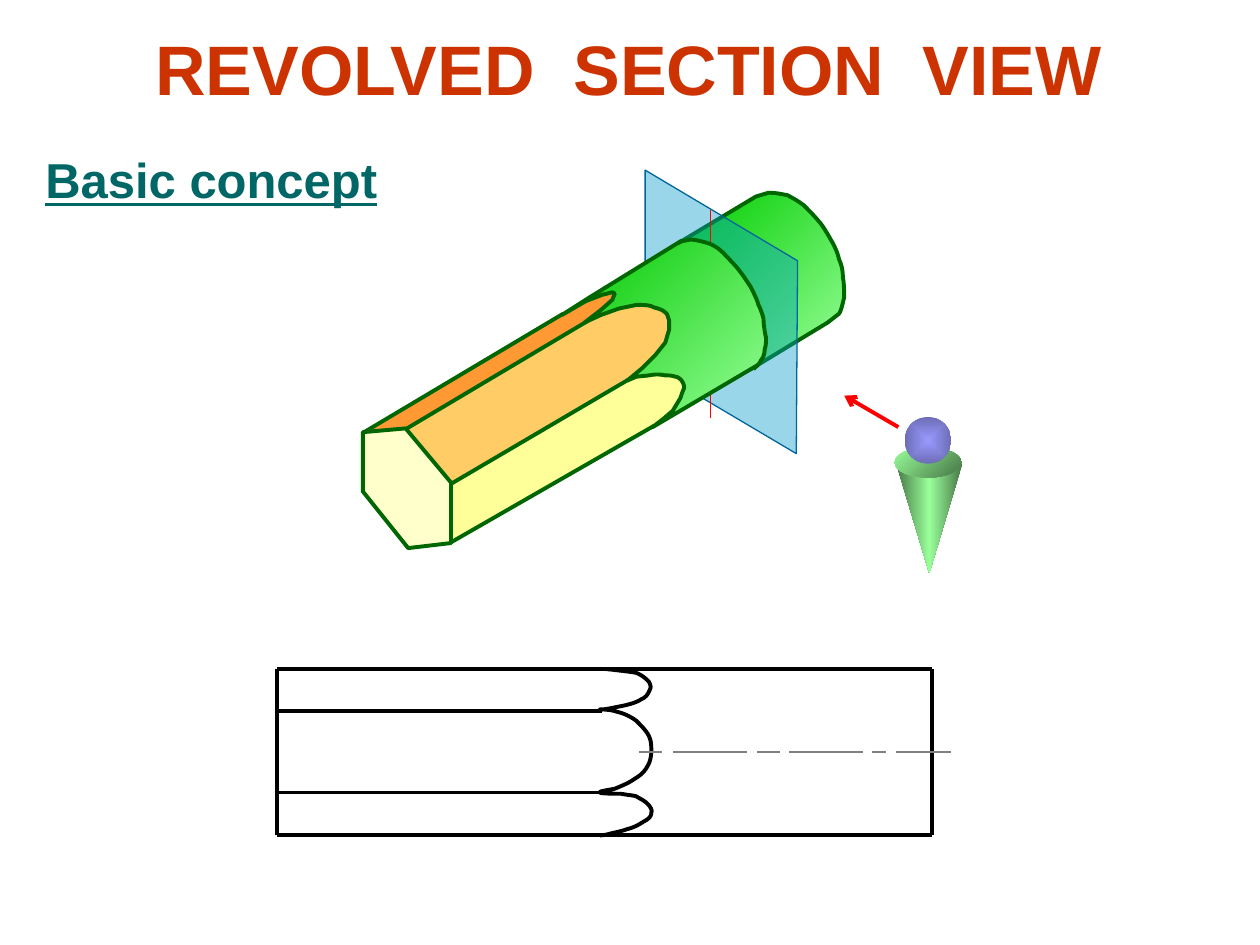
import pptx
import pptx.util
import pptx.dml.color
import pptx.enum.shapes
import pptx.enum.text
import pptx.oxml.ns
import lxml.etree

RGB = pptx.dml.color.RGBColor
SHAPE = pptx.enum.shapes.MSO_SHAPE
ALIGN = pptx.enum.text.PP_ALIGN
ANCHOR = pptx.enum.text.MSO_ANCHOR
qn = pptx.oxml.ns.qn

RUST = RGB(0xCC, 0x33, 0x00)
TEAL = RGB(0x00, 0x66, 0x66)
BLACK = RGB(0x00, 0x00, 0x00)
GRAY = RGB(0x80, 0x80, 0x80)
RED = RGB(0xFF, 0x00, 0x00)
DARK_GREEN = RGB(0x00, 0x66, 0x00)
GREEN = RGB(0x00, 0xCC, 0x00)
BARREL_GREEN = RGB(0x00, 0xC8, 0x00)
LIGHT_GREEN = RGB(0x99, 0xFF, 0x99)
MOSS = RGB(0x47, 0x76, 0x47)
PLANE_BLUE = RGB(0x00, 0x99, 0xCC)
PLANE_EDGE = RGB(0x00, 0x66, 0x99)
LILAC = RGB(0x99, 0x99, 0xFF)
INDIGO = RGB(0x6D, 0x6D, 0xB6)
ORANGE = RGB(0xFF, 0x99, 0x33)
APRICOT = RGB(0xFF, 0xCC, 0x66)
YELLOW = RGB(0xFF, 0xFF, 0x99)
CREAM = RGB(0xFF, 0xFF, 0xCC)

COLUMNS, ROWS = 100, 75
CURVE_STEPS = 6
THICK = 2.25

REAR_END = """M 59.6 29.3 L 65.7 25.6 L 66.6 24.9 C 66.8 24.6 66.9 24 67 23.6
C 67 23.1 67 22.5 66.9 22 C 66.9 21.5 66.8 21 66.6 20.6 C 66.5 20.1 66.3 19.7 66.1 19.3
C 65.8 18.8 65.5 18.2 65.1 17.7 C 64.7 17.2 64.2 16.7 63.8 16.3 C 63.4 16 62.9 15.7 62.5 15.5
C 62 15.4 61.5 15.3 61 15.3 L 60 15.6 L 54 19.2"""
CUT_EDGE = """M 53.8 19.3 C 53.9 19.3 54.1 19.1 54.4 19.1 C 54.7 19 55 19 55.4 19.1
C 55.8 19.2 56.4 19.3 56.8 19.6 C 57.2 19.8 57.6 20.3 58 20.7 C 58.4 21.1 58.7 21.5 59 21.9
C 59.2 22.2 59.4 22.5 59.6 22.8 C 59.8 23.2 60.1 23.8 60.2 24.2 C 60.4 24.6 60.5 24.9 60.6 25.3
C 60.6 25.7 60.7 26.4 60.8 26.8 C 60.8 27.2 60.8 27.4 60.7 27.7 C 60.7 28 60.6 28.4 60.4 28.6
C 60.3 28.9 60 29.1 59.8 29.3"""
BARREL_EDGE = """M 54.1 19.1 L 46.8 23.6 L 44.6 25 L 46.5 23.9 L 47.8 23.4 L 48.6 23.2
L 48.8 23.3 L 48.6 23.8 L 47.7 24.6 L 46.4 25.6 L 47.7 25 L 49.1 24.5
C 49.5 24.4 50.1 24.3 50.5 24.2 C 51 24.2 51.6 24.2 51.9 24.4 C 52.3 24.5 52.6 24.6 52.8 24.8
C 53 24.9 53 25.2 53.1 25.4 C 53.1 25.6 53.1 25.9 53.1 26.2 C 53 26.5 52.9 26.9 52.8 27.2
L 52 28.2 L 51 29.2 L 49.8 30.2 L 50.5 29.9 L 51.5 29.8 C 51.9 29.7 52.4 29.7 52.8 29.8
C 53.1 29.8 53.3 29.8 53.6 29.9 C 53.8 29.9 54 30.1 54.1 30.2 C 54.2 30.4 54.3 30.5 54.3 30.8
C 54.2 31 54.1 31.3 54 31.6 L 53.4 32.6 L 52.7 33.2 L 51.8 33.9 L 60.1 29"""
FLAT_ENDS = """M 48.1 53.1 C 49 53.2 49.9 53.3 50.5 53.4 C 51 53.6 51.3 53.9 51.5 54.1
C 51.6 54.3 51.7 54.5 51.6 54.7 C 51.5 54.9 51.4 55.3 50.9 55.5 C 50.5 55.8 49.6 56 49 56.1
C 48.5 56.2 47.6 56.4 47.6 56.3 C 47.6 56.3 48.5 56.3 49 56.5 C 49.5 56.6 50.1 56.9 50.5 57.2
C 50.9 57.6 51.3 58 51.5 58.4 C 51.7 58.8 51.7 59.2 51.7 59.6 C 51.7 60 51.6 60.5 51.4 60.8
C 51.2 61.2 50.9 61.5 50.4 61.8 C 50 62.1 49.3 62.4 48.8 62.6 C 48.3 62.7 47.5 62.8 47.6 62.9
C 47.7 63 48.9 63 49.3 63 C 49.8 63.1 50.1 63.1 50.5 63.2 C 50.8 63.4 51.1 63.5 51.4 63.8
C 51.6 64 51.8 64.3 51.7 64.5 C 51.7 64.8 51.5 65 51.1 65.2 C 50.8 65.4 50.3 65.7 49.8 65.8
C 49.3 66 48.6 66.1 48.3 66.2 C 47.9 66.3 47.7 66.3 47.6 66.3"""
CUTTING_PLANE = "M 63.2 36 L 51.2 28.9 L 51.2 13.5 L 63.3 20.7 L 63.2 36"
HEX_FACES = [
    ("M 32.3 34 L 48.7 24.2 L 49.1 23 L 48.1 22.9 L 45.5 24.3 L 28.9 34.2", ORANGE),
    ("M 35.8 38.4 L 52.6 28.5 L 53.4 26 L 53.3 24.4 L 51.5 24 L 49 24.2 L 47.1 25.1 L 32.3 34", APRICOT),
    ("M 35.8 43.1 L 53.7 32.7 L 54.7 30.3 L 53.7 29.4 L 51 29.4 L 35.7 38.5", YELLOW),
]
HEX_END = "M 28.8 39 L 32.4 43.5 L 35.8 43.1 L 35.8 38.3 L 32.2 34 L 28.8 34.3"
HEX_EDGES = [(35.7, 43.1, 51.9, 33.8), (35.8, 38.4, 50.1, 30), (32.3, 34, 46.6, 25.5), (28.9, 34.3, 44.7, 24.9)]


def trace(outline):
    points, marks = [], iter(outline.split())
    for mark in marks:
        pairs = [(float(next(marks)), float(next(marks))) for _ in range(3 if mark == "C" else 1)]
        if mark != "C":
            points += pairs
            continue
        knots = [points[-1]] + pairs
        for step in range(1, CURVE_STEPS + 1):
            t = step / CURVE_STEPS
            weights = ((1 - t) ** 3, 3 * t * (1 - t) ** 2, 3 * t * t * (1 - t), t ** 3)
            points.append(tuple(sum(w * k[axis] for w, k in zip(weights, knots)) for axis in (0, 1)))
    return points


def write(frame, text, size, color, align=ALIGN.LEFT, anchor=ANCHOR.TOP, underline=False, wrap=True):
    frame.word_wrap = wrap
    frame.auto_size = pptx.enum.text.MSO_AUTO_SIZE.NONE
    frame.vertical_anchor = anchor
    paragraph = frame.paragraphs[0]
    paragraph.text = text
    properties = paragraph._p.get_or_add_pPr()
    properties.set("marL", "0")
    properties.set("indent", "0")
    lxml.etree.SubElement(properties, qn("a:buNone"))
    paragraph.alignment = align
    paragraph.space_before = pptx.util.Pt(0)
    font = paragraph.runs[0].font
    font.name, font.size, font.bold = "Arial", pptx.util.Pt(size), True
    font.underline = underline
    font.color.rgb = color


class Sketch:
    def __init__(self, deck, slide):
        self.slide, self.shapes = slide, slide.shapes
        self.column = deck.slide_width / COLUMNS
        self.row = deck.slide_height / ROWS

    def at(self, x, y):
        return round(x * self.column), round(y * self.row)

    def placeholder(self, index, box, text, **style):
        holder = self.slide.placeholders[index]
        holder.left, holder.top = self.at(*box[:2])
        holder.width, holder.height = self.at(*box[2:])
        write(holder.text_frame, text, **style)

    def line(self, x1, y1, x2, y2, color, width=THICK, arrow=False):
        link = self.shapes.add_connector(
            pptx.enum.shapes.MSO_CONNECTOR.STRAIGHT, *self.at(x1, y1), *self.at(x2, y2))
        link.line.color.rgb = color
        link.line.width = pptx.util.Pt(width)
        if arrow:
            lxml.etree.SubElement(link.line._get_or_add_ln(), qn("a:tailEnd"), type="arrow")
        lxml.etree.SubElement(link._element.spPr, qn("a:effectLst"))

    def paint(self, shape, fill=None, blend=None, angle=None, edge=None, width=THICK, alpha=None):
        shape.shadow.inherit = False
        if blend:
            self.gradient(shape, blend, angle)
        elif fill is not None:
            shape.fill.solid()
            shape.fill.fore_color.rgb = fill
            if alpha:
                tint = shape._element.spPr.find(".//" + qn("a:srgbClr"))
                lxml.etree.SubElement(tint, qn("a:alpha"), val=str(alpha * 1000))
        else:
            shape.fill.background()
        if edge is None:
            shape.line.fill.background()
        else:
            shape.line.color.rgb = edge
            shape.line.width = pptx.util.Pt(width)

    def gradient(self, shape, blend, angle):
        shape.fill.gradient()
        gradient = shape._element.spPr.find(qn("a:gradFill"))
        for part in list(gradient):
            gradient.remove(part)
        stops = lxml.etree.SubElement(gradient, qn("a:gsLst"))
        for number, color in enumerate(blend):
            stop = lxml.etree.SubElement(stops, qn("a:gs"), pos=str(100000 * number // (len(blend) - 1)))
            lxml.etree.SubElement(stop, qn("a:srgbClr"), val=str(color))
        if angle is None:
            radial = lxml.etree.SubElement(gradient, qn("a:path"), path="shape")
            lxml.etree.SubElement(radial, qn("a:fillToRect"), l="50000", t="50000", r="50000", b="50000")
        else:
            lxml.etree.SubElement(gradient, qn("a:lin"), ang=str(angle * 60000), scaled="1")

    def outline(self, points, close=True, **style):
        start, *rest = [self.at(*point) for point in points]
        builder = self.shapes.build_freeform(*start)
        builder.add_line_segments(rest, close=close)
        self.paint(builder.convert_to_shape(), **style)

    def preset(self, kind, box, turn=0, **style):
        shape = self.shapes.add_shape(kind, *self.at(*box[:2]), *self.at(*box[2:]))
        shape.rotation = turn
        self.paint(shape, **style)


def draw_pencil(sketch):
    sketch.outline(trace(REAR_END), close=False, blend=(GREEN, LIGHT_GREEN), angle=45, edge=DARK_GREEN)
    sketch.outline(trace(CUTTING_PLANE), fill=PLANE_BLUE, alpha=40, edge=PLANE_EDGE, width=0.75)
    for top, bottom in ((16.7, 23.8), (26.1, 33.2)):
        sketch.line(56.4, top, 56.4, bottom, RED, 1)
    for face, color in HEX_FACES:
        sketch.outline(trace(face), fill=color)
    sketch.outline(trace(HEX_END), fill=CREAM, edge=DARK_GREEN)
    for edge in HEX_EDGES:
        sketch.line(*edge, DARK_GREEN)
    barrel, cut = trace(BARREL_EDGE), trace(CUT_EDGE)
    sketch.outline(cut + barrel[::-1], blend=(BARREL_GREEN, LIGHT_GREEN), angle=45)
    for edge in (barrel, cut):
        sketch.outline(edge, close=False, edge=DARK_GREEN)


def draw_observer(sketch):
    sketch.preset(SHAPE.ISOSCELES_TRIANGLE, (71.1, 36.7, 5.3, 8.8), turn=180,
                  blend=(MOSS, LIGHT_GREEN, MOSS), angle=0)
    sketch.preset(SHAPE.OVAL, (71, 35.5, 5.3, 2.4), blend=(LIGHT_GREEN, MOSS), angle=45)
    sketch.preset(SHAPE.OVAL, (71.8, 33.1, 3.7, 3.7), blend=(LILAC, INDIGO))
    sketch.line(71.3, 33.9, 67, 31.4, RED, arrow=True)


def draw_front_view(sketch):
    left, right, top, bottom = 22, 74, 53.1, 66.3
    for y, end in ((top, right), (56.4, 47.8), (62.9, 47.8), (bottom, right)):
        sketch.line(left, y, end, y, BLACK)
    for x in (left, right):
        sketch.line(x, top, x, bottom, BLACK)
    sketch.outline(trace(FLAT_ENDS), close=False, edge=BLACK)
    for start, end in ((50.7, 52.5), (53.4, 59.3), (60.1, 61.9), (62.6, 68.5), (69.2, 70.3), (71.1, 75.5)):
        sketch.line(start, 59.7, end, 59.7, GRAY, 1.5)


def main():
    deck = pptx.Presentation()
    deck.slide_width, deck.slide_height = pptx.util.Inches(10), pptx.util.Inches(7.5)
    sketch = Sketch(deck, deck.slides.add_slide(deck.slide_layouts[1]))
    sketch.placeholder(0, (4.9, 1.3, 90, 8.1), "REVOLVED  SECTION  VIEW", size=40, color=RUST,
                       align=ALIGN.CENTER, anchor=ANCHOR.MIDDLE)
    sketch.placeholder(1, (2.6, 11.4, 28.4, 5.7), "Basic concept", size=28, color=TEAL,
                       underline=True, wrap=False)
    draw_pencil(sketch)
    draw_observer(sketch)
    draw_front_view(sketch)
    deck.save("out.pptx")


if __name__ == "__main__":
    main()
